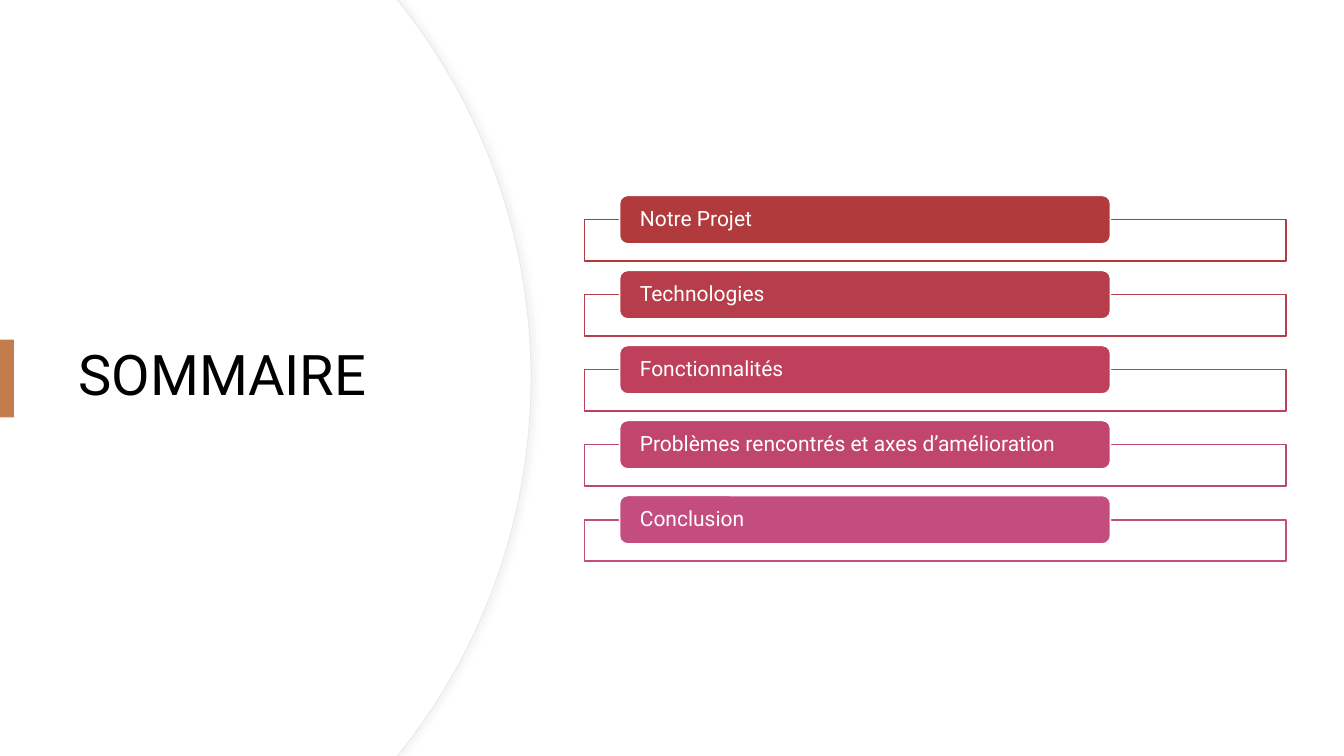
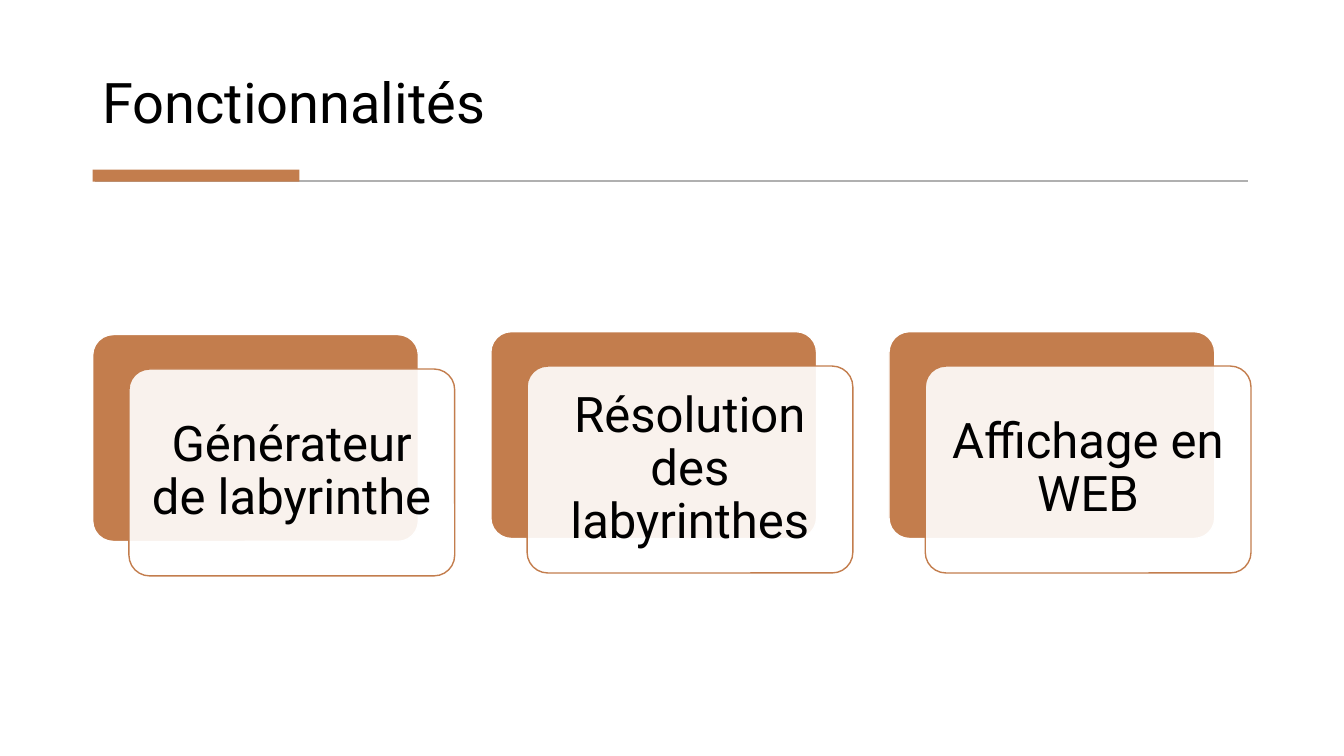
import math

from lxml import etree
from pptx import Presentation
from pptx.dml.color import RGBColor
from pptx.enum.shapes import MSO_CONNECTOR, MSO_SHAPE
from pptx.enum.text import MSO_ANCHOR, PP_ALIGN
from pptx.oxml.ns import qn
from pptx.util import Pt

RECT, ROUND = MSO_SHAPE.RECTANGLE, MSO_SHAPE.ROUNDED_RECTANGLE
STRAIGHT = MSO_CONNECTOR.STRAIGHT
MIDDLE, BOTTOM = MSO_ANCHOR.MIDDLE, MSO_ANCHOR.BOTTOM
LEFT, CENTER = PP_ALIGN.LEFT, PP_ALIGN.CENTER

FONT = "Roboto"
WHITE, BLACK = "FFFFFF", "000000"
ACCENT, RULE, EDGE, SHADE = "C37D4D", "B0B0B0", "EFE8E3", "D9D9D9"
WIDTH, HEIGHT = 960, 540


def rgb(color):
    return RGBColor.from_string(color)


def sub(parent, tag, **attrs):
    return etree.SubElement(parent, qn(tag), attrs)


def paint(sp, fill, line=None, width=1, opacity=100):
    sp.shadow.inherit = False
    sp.fill.solid()
    sp.fill.fore_color.rgb = rgb(fill)
    if opacity < 100:
        clr = sp._element.spPr.find(qn("a:solidFill"))[0]
        sub(clr, "a:alpha", val=str(opacity * 1000))
    if line:
        sp.line.color.rgb = rgb(line)
        sp.line.width = Pt(width)
    else:
        sp.line.fill.background()
    return sp


def shape(s, kind, box, fill, adj=None, **style):
    sp = s.shapes.add_shape(kind, *map(Pt, box))
    if adj is not None:
        sp.adjustments[0] = adj
    return paint(sp, fill, **style)


def write(sp, text, size=40, color=BLACK, align=LEFT, anchor=MIDDLE, inset=(7.2, 3.6)):
    tf = sp.text_frame
    tf.word_wrap = True
    tf.vertical_anchor = anchor
    tf.margin_left = tf.margin_right = Pt(inset[0])
    tf.margin_top = tf.margin_bottom = Pt(inset[1])
    p = tf.paragraphs[0]
    p.alignment = align
    p.line_spacing = 0.9
    r = p.add_run()
    r.text = text
    r.font.name = FONT
    r.font.size = Pt(size)
    r.font.color.rgb = rgb(color)


def title(s, box, text, anchor=MIDDLE):
    write(s.shapes.add_textbox(*map(Pt, box)), text, anchor=anchor)


def arc_panel(s, box, sagitta=95.6, steps=60, **style):
    x, y, w, h = box
    radius = (h * h / 4 + sagitta ** 2) / (2 * sagitta)
    half = math.asin(h / 2 / radius)
    angles = [half * (2 * i / steps - 1) for i in range(steps + 1)]
    arc = [(x + w - radius * (1 - math.cos(a)), y + h / 2 + radius * math.sin(a))
           for a in angles]
    builder = s.shapes.build_freeform(Pt(x), Pt(y), 1.0)
    builder.add_line_segments([(Pt(px), Pt(py)) for px, py in arc + [(x, y + h)]])
    return paint(builder.convert_to_shape(), WHITE, **style)


def add_shadow(sp, color, opacity, blur, dist):
    effects = sp._element.spPr.find(qn("a:effectLst"))
    shadow = sub(effects, "a:outerShdw", blurRad=str(Pt(blur)), dist=str(Pt(dist)),
                 dir="0", algn="l", rotWithShape="0")
    sub(sub(shadow, "a:srgbClr", val=color), "a:alpha", val=str(opacity * 1000))


def side_title(s, box, text):
    x, y, w, h = box
    edge = arc_panel(s, (x, y, w + 0.6, h), line=EDGE, width=0.75)
    add_shadow(edge, SHADE, 30, 4, 3)
    arc_panel(s, box)
    title(s, (x + 49, y + 91.5, 283.5, 356.5), text)
    shape(s, RECT, (x, y + 242.7, 10, 55.5), ACCENT)


def agenda(s, box, entries, pitch=53.6):
    x, y, w, _ = box
    for i, (text, color) in enumerate(entries):
        top = y + i * pitch
        shape(s, RECT, (x, top + 17.3, w, 29.5), WHITE, line=color, opacity=90)
        tab = shape(s, ROUND, (x + 25, top, 350.6, 34.5), color, line=WHITE)
        write(tab, text, size=15, color=WHITE, inset=(12.8, 0))


def top_title(s, box, text):
    x, y, w, h = box
    title(s, (x, y, w, h), text, anchor=BOTTOM)
    rule = s.shapes.add_connector(STRAIGHT, *map(Pt, (x + 2, y + 109, x + w - 2, y + 109)))
    rule.line.color.rgb = rgb(RULE)
    rule.line.width = Pt(1.2)
    sub(rule._element.spPr, "a:effectLst")
    shape(s, RECT, (x, y + 101, 147.6, 8.6), ACCENT)


def card(s, box, text, dx=25.9, dy=24.6):
    x, y, w, h = box
    shape(s, ROUND, box, ACCENT, adj=0.1, line=WHITE)
    front = shape(s, ROUND, (x + dx, y + dy, w, h), WHITE, adj=0.1,
                  line=ACCENT, opacity=90)
    write(front, text, size=35, align=CENTER, inset=(10.6, 10.6))


def summary_slide(s):
    side_title(s, (0, 0, 378.8, HEIGHT), "SOMMAIRE")
    agenda(s, (417.6, 139.6, 501, 262), [
        ("Notre Projet", "B13B3C"),
        ("Technologies", "B83D4B"),
        ("Fonctionnalités", "BE405B"),
        ("Problèmes rencontrés et axes d’amélioration", "C1466D"),
        ("Conclusion", "C34D7F"),
    ])


def features_slide(s):
    top_title(s, (66.2, 20.2, 827.3, 80), "Fonctionnalités")
    cards = [("Générateur de labyrinthe", 239), ("Résolution des labyrinthes", 236.9),
             ("Affichage en WEB", 236.9)]
    for i, (text, top) in enumerate(cards):
        card(s, (66.2 + i * 284.4, top, 232.7, 147.8), text)


def main():
    prs = Presentation()
    prs.slide_width, prs.slide_height = Pt(WIDTH), Pt(HEIGHT)
    for build in (summary_slide, features_slide):
        build(prs.slides.add_slide(prs.slide_layouts[6]))
    prs.save("out.pptx")


if __name__ == "__main__":
    main()
